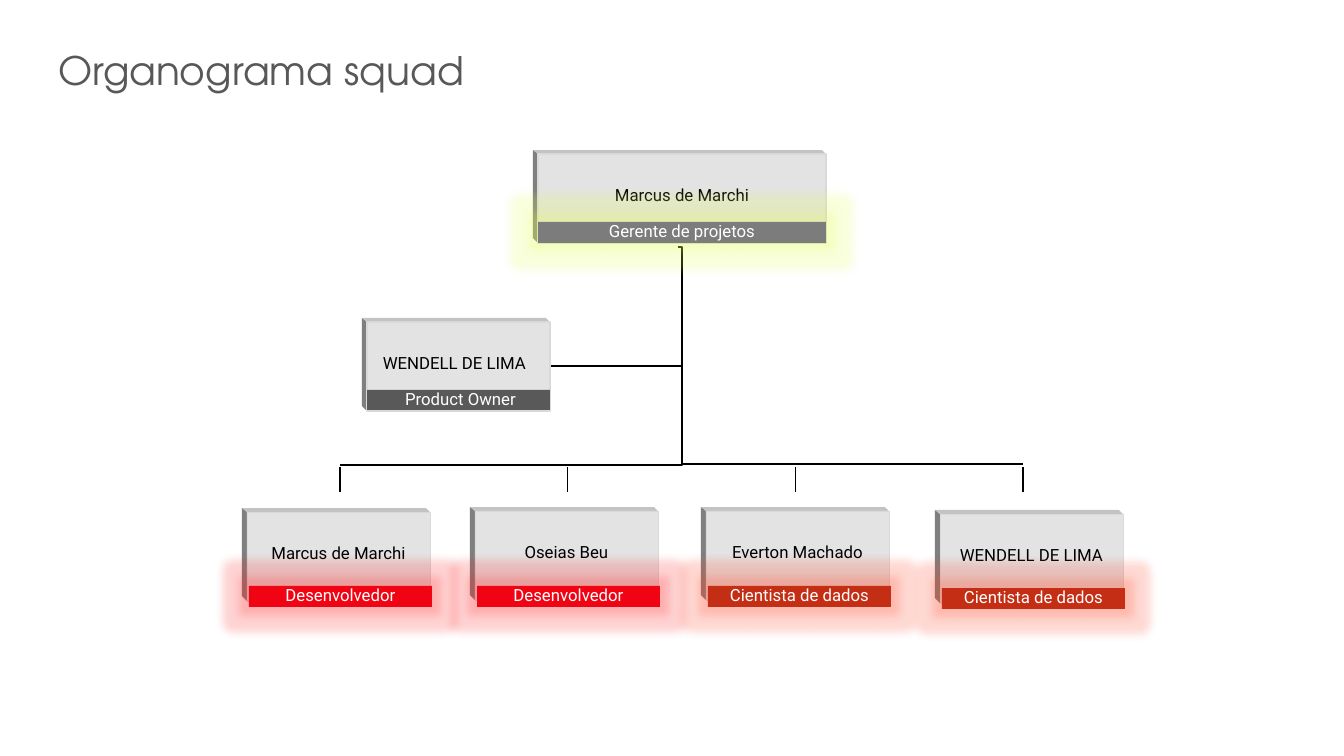
from lxml import etree
from pptx import Presentation
from pptx import util as u
from pptx.dml.color import RGBColor
from pptx.enum import shapes, text
from pptx.oxml import ns

SCALE = 914400 / 100.8
HUES = {
    "face": "E3E3E3", "edge": "D9D9D9", "side": "7F7F7F", "top": "C3C3C3",
    "title": "585858", "black": "000000", "white": "FFFFFF",
    "boss": "7C7C7C", "owner": "595959", "dev": "F00413", "data": "C42E14",
}
GLOWS = {"boss": "E6FF50", "dev": "FF2020", "data": "FF4020"}
TEAM = [
    (247, 512, "Marcus de Marchi", "Desenvolvedor", "dev", 76),
    (475, 511, "Oseias Beu", "Desenvolvedor", "dev", 77),
    (706, 511, "Everton Machado", "Cientista de dados", "data", 77),
    (940, 514, "WENDELL DE LIMA", "Cientista de dados", "data", 76),
]


def px(num):
    """Turn pixels into EMU."""
    return u.Emu(round(num * SCALE))


def hue(name):
    """Look up a colour."""
    return RGBColor.from_string(HUES[name])


def write(shape, words, ink, size=12, font="Roboto", align="CENTER", pads=(8, 1, 8, 1)):
    """Put one styled line of text in a shape."""
    frame = shape.text_frame
    sides = ("margin_left", "margin_top", "margin_right", "margin_bottom")
    form = {"word_wrap": True, "vertical_anchor": text.MSO_ANCHOR.MIDDLE}
    form.update(zip(sides, map(px, pads)))
    for key, val in form.items():
        setattr(frame, key, val)
    para = frame.paragraphs[0]
    para.alignment = text.PP_ALIGN[align]
    para.line_spacing = 0.9
    run = para.add_run()
    run.text = words
    for key, val in {"name": font, "size": u.Pt(size)}.items():
        setattr(run.font, key, val)
    run.font.color.rgb = hue(ink)


def paint(shape, fill, line=None, width=1):
    """Set fill and outline without a shadow."""
    shape.shadow.inherit = False
    shape.fill.solid()
    shape.fill.fore_color.rgb = hue(fill)
    if line:
        shape.line.color.rgb = hue(line)
        shape.line.width = u.Pt(width)
    else:
        shape.line.fill.background()


def rect(slide, box, *look):
    """Add a painted rectangle."""
    shape = slide.shapes.add_shape(shapes.MSO_SHAPE.RECTANGLE, *map(px, box))
    paint(shape, *look)
    return shape


def facet(slide, points, fill):
    """Add one slanted side of a card."""
    build = slide.shapes.build_freeform(*points[0], scale=SCALE)
    build.add_line_segments(points[1:], close=True)
    paint(build.convert_to_shape(), fill)


def glow(shape, color):
    """Add a soft halo to a shape."""
    effect = shape._element.spPr.find(ns.qn("a:effectLst"))
    halo = etree.SubElement(effect, ns.qn("a:glow"), rad=str(px(18)))
    tint = etree.SubElement(halo, ns.qn("a:srgbClr"), val=color)
    etree.SubElement(tint, ns.qn("a:alpha"), val="20000")


def card(slide, box, name, role, kind, band, width=1, pads=(1, 1, 1, 6), inset=(3, 1, 3, 1)):
    """Draw a raised name card with its role band."""
    x, y, w, h = box
    left, top = x - 5, y - 4
    facet(slide, [(left, top), (x, y), (x, y + h), (left, y + h - 5)], "side")
    facet(slide, [(left, top), (x + w - 4, top), (x + w, y), (x, y)], "top")
    face = rect(slide, box, "face", "edge", width)
    write(face, name, "black", pads=pads)
    strip = rect(slide, band, kind)
    write(strip, role, "white", pads=inset)
    if kind in GLOWS:
        glow(strip, GLOWS[kind])


def wire(slide, ends, bend=None):
    """Draw a straight or elbow connector."""
    kind = "STRAIGHT" if bend is None else "ELBOW"
    line = slide.shapes.add_connector(shapes.MSO_CONNECTOR[kind], *map(px, ends))
    line.line.color.rgb = hue("black")
    line.line.width = u.Pt(1)
    props = line._element.spPr
    etree.SubElement(props, ns.qn("a:effectLst"))
    if bend is not None:
        geom = props.find(ns.qn("a:prstGeom"))
        for old in list(geom):
            geom.remove(old)
        guides = etree.SubElement(geom, ns.qn("a:avLst"))
        etree.SubElement(guides, ns.qn("a:gd"), name="adj1", fmla=f"val {bend}")


def head(slide, box):
    """Write the slide title."""
    title = slide.shapes.add_textbox(*map(px, box))
    write(title, "Organograma squad", "title", 28, "TeX Gyre Adventor", "LEFT", (10, 5, 10, 5))


def links(slide, box):
    """Draw the trunk, its branches and the drops."""
    x, y, w, h = box
    mid = x + 342
    wire(slide, (mid - 4, y, x, y + h), -1200)
    wire(slide, (mid, y + 11, x + w, y + h - 1), 0)
    wire(slide, (mid, y + 119, x + 209, y + 119))
    for step in range(4):
        drop = x + step * w / 3
        wire(slide, (drop, y + h + 2, drop, y + h + 27))


def chart(slide, box):
    """Lay out the whole squad chart."""
    x, y, w, h = box
    links(slide, (x + 98, y + 93, 683, 218))
    card(slide, (x + 296, y, 288, 89), "Marcus de Marchi", "Gerente de projetos",
         "boss", (x + 296, y + 68, 288, 21))
    card(slide, (x + 125, y + 168, 183, 89), "WENDELL DE LIMA", "Product Owner",
         "owner", (x + 125, y + 236, 183, 20), pads=(1, 1, 9, 6), inset=(7, 1, 3, 1))
    for left, top, name, role, kind, drop in TEAM:
        card(slide, (left, top, 183, 89), name, role, kind,
             (left + 2, top + drop - 2, 183, 21), 0.25, (8, 1, 8, 6), (8, 1, 8, 1))


def main():
    """Build and save the deck."""
    deck = Presentation()
    deck.slide_width, deck.slide_height = px(1344), px(756)
    slide = deck.slides.add_slide(deck.slide_layouts[6])
    head(slide, (48, 46, 1117, 53))
    chart(slide, (242, 154, 883, 455))
    deck.save("out.pptx")


main()
